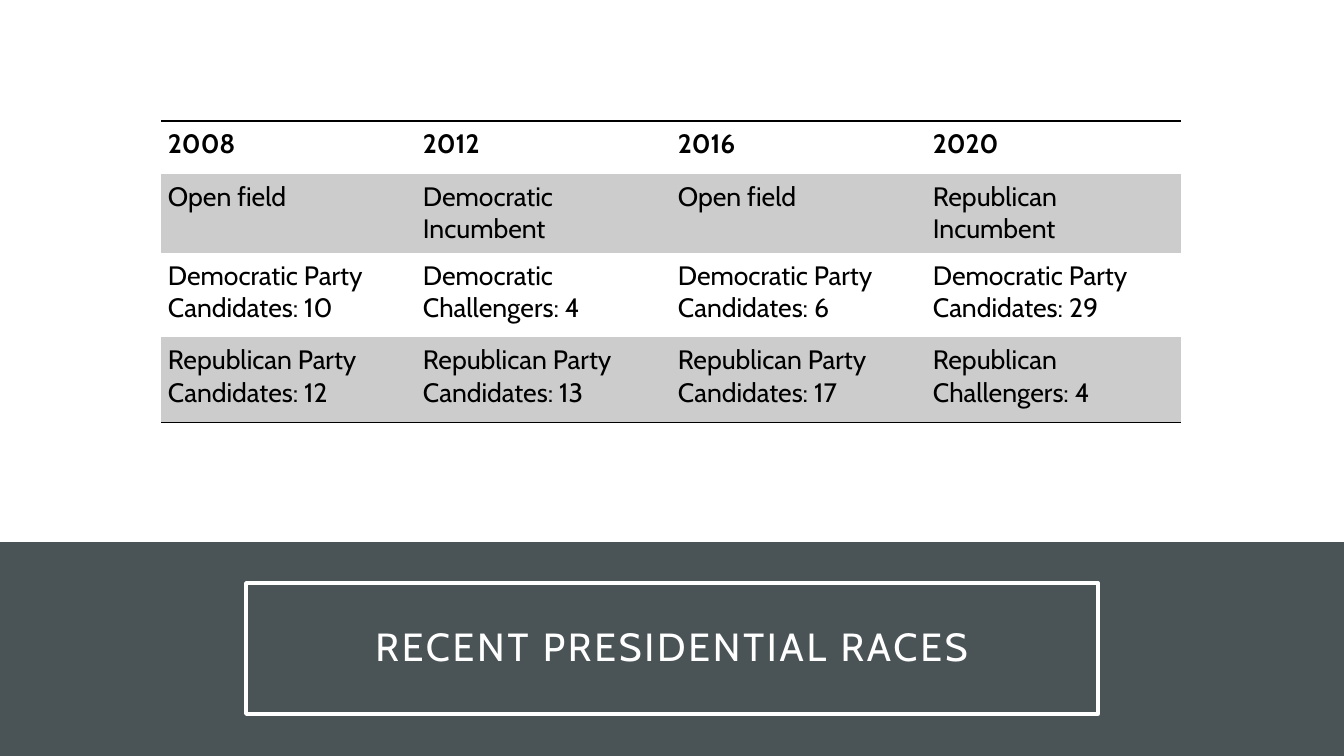
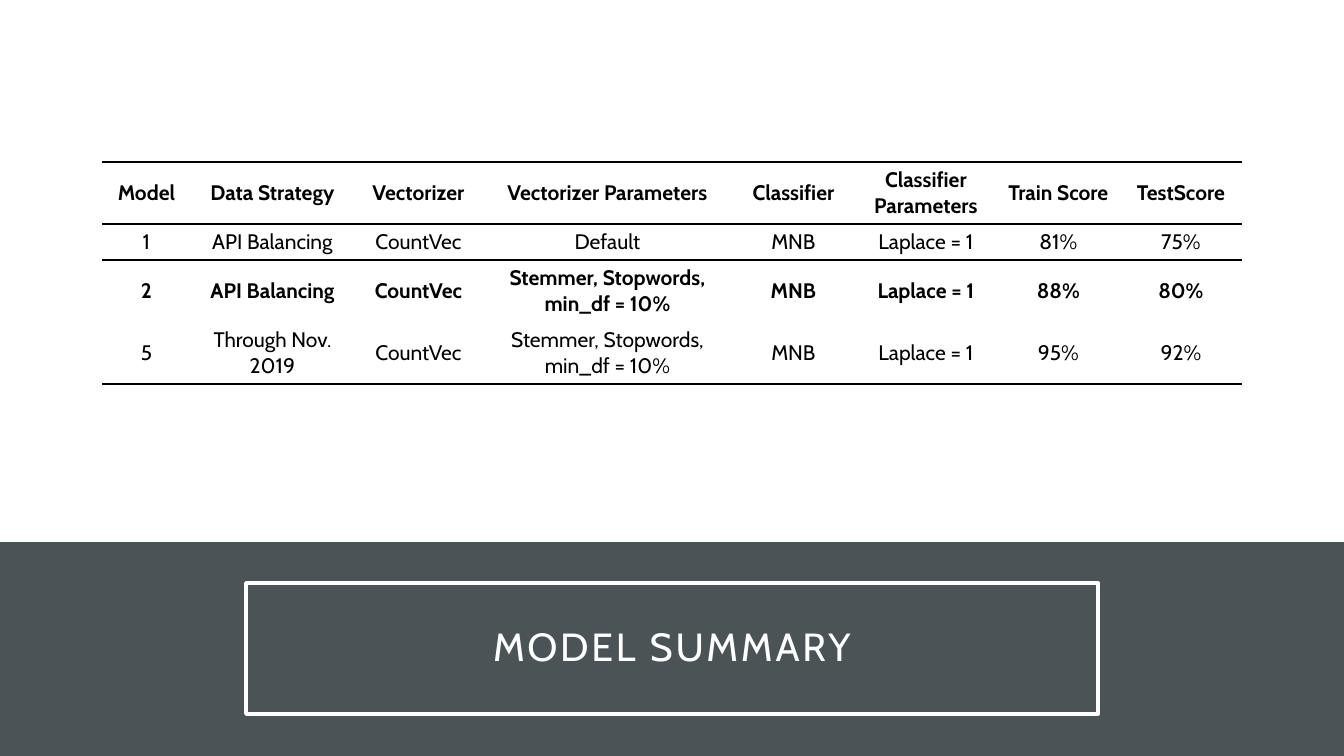
from lxml import etree
from pptx import Presentation
from pptx.dml.color import RGBColor
from pptx.enum.shapes import MSO_SHAPE
from pptx.enum.text import MSO_ANCHOR, MSO_AUTO_SIZE, PP_ALIGN
from pptx.oxml.ns import qn
from pptx.util import Pt

PX = 914400 / 100.8
FONT = "Cabin"
SLATE = RGBColor(0x4A, 0x53, 0x56)
WHITE = RGBColor(0xFF, 0xFF, 0xFF)
BLACK = RGBColor(0x00, 0x00, 0x00)
BAND_GREY = RGBColor(0xCC, 0xCC, 0xCC)
RECTANGLE = MSO_SHAPE.RECTANGLE
TOP, MIDDLE = MSO_ANCHOR.TOP, MSO_ANCHOR.MIDDLE
LEFT, CENTER = PP_ALIGN.LEFT, PP_ALIGN.CENTER
NO_AUTOFIT = MSO_AUTO_SIZE.NONE
PLAIN_TABLE_STYLE = "{2D5ABB26-0587-4C30-8999-92F81FD0307C}"


def px(*lengths):
    return [round(length * PX) for length in lengths]


def add_rule(cell, edge):
    rule = etree.SubElement(cell._tc.get_or_add_tcPr(), qn(f"a:{edge}"), w=str(Pt(1)))
    fill = etree.SubElement(rule, qn("a:solidFill"))
    etree.SubElement(fill, qn("a:srgbClr"), val=str(BLACK))


races = {
    "title": "RECENT PRESIDENTIAL RACES",
    "origin": (161, 121),
    "columns": [255] * 4,
    "rows": [53, 78, 85, 85],
    "cells": [
        ["2008", "2012", "2016", "2020"],
        ["Open field", "Democratic Incumbent", "Open field", "Republican Incumbent"],
        ["Democratic Party Candidates: 10", "Democratic Challengers: 4",
         "Democratic Party Candidates: 6", "Democratic Party Candidates: 29"],
        ["Republican Party Candidates: 12", "Republican Party Candidates: 13",
         "Republican Party Candidates: 17", "Republican Challengers: 4"],
    ],
    "size": 19, "margin": 7, "align": LEFT, "anchor": TOP,
    "bold_rows": {0}, "grey_rows": {1, 3}, "ruled_rows": {3},
}
models = {
    "title": "MODEL SUMMARY",
    "origin": (102, 162),
    "columns": [89, 163, 129, 249, 123, 142, 123, 122],
    "rows": [62, 36, 62, 62],
    "cells": [
        ["Model", "Data Strategy", "Vectorizer", "Vectorizer Parameters",
         "Classifier", "Classifier Parameters", "Train Score", "TestScore"],
        ["1", "API Balancing", "CountVec", "Default",
         "MNB", "Laplace = 1", "81%", "75%"],
        ["2", "API Balancing", "CountVec", "Stemmer, Stopwords, min_df = 10%",
         "MNB", "Laplace = 1", "88%", "80%"],
        ["5", "Through Nov. 2019", "CountVec", "Stemmer, Stopwords, min_df = 10%",
         "MNB", "Laplace = 1", "95%", "92%"],
    ],
    "size": 15, "margin": 4, "align": CENTER, "anchor": MIDDLE,
    "bold_rows": {0, 2}, "grey_rows": set(), "ruled_rows": {0, 3},
}

prs = Presentation()
prs.slide_width, prs.slide_height = px(1344, 756)
background = prs.slide_master.background.fill
background.solid()
background.fore_color.rgb = SLATE
title_only = prs.slide_layouts[5]

for content in (races, models):
    slide = prs.slides.add_slide(title_only)

    panel = slide.shapes.add_shape(RECTANGLE, *px(0, 0, 1344, 542))
    panel.shadow.inherit = False
    panel.fill.solid()
    panel.fill.fore_color.rgb = WHITE
    panel.line.fill.background()

    title = slide.shapes.title
    title.left, title.top, title.width, title.height = px(246, 583, 852, 131)
    title.line.color.rgb = WHITE
    title.line.width = Pt(2.5)
    frame = title.text_frame
    frame.text = content["title"]
    frame.auto_size = NO_AUTOFIT
    frame.word_wrap = True
    frame.vertical_anchor = MIDDLE
    frame.margin_left, frame.margin_top, frame.margin_right, frame.margin_bottom = px(*[20] * 4)
    heading = frame.paragraphs[0]
    heading.alignment = CENTER
    heading.line_spacing = 0.9
    run = heading.runs[0]
    run.font.name = FONT
    run.font.size = Pt(28)
    run.font.color.rgb = WHITE
    run._r.get_or_add_rPr().set("spc", "200")

    columns, rows = content["columns"], content["rows"]
    table = slide.shapes.add_table(
        len(rows), len(columns), *px(*content["origin"], sum(columns), sum(rows))
    ).table
    table.first_row = False
    table.horz_banding = False
    table._tbl.tblPr.find(qn("a:tableStyleId")).text = PLAIN_TABLE_STYLE
    for column, width in zip(table.columns, px(*columns)):
        column.width = width
    for row, height in zip(table.rows, px(*rows)):
        row.height = height

    for r, texts in enumerate(content["cells"]):
        for c, text in enumerate(texts):
            cell = table.cell(r, c)
            cell.text_frame.text = text
            cell.vertical_anchor = content["anchor"]
            (cell.margin_left, cell.margin_top,
             cell.margin_right, cell.margin_bottom) = px(*[content["margin"]] * 4)
            if r == 0:
                add_rule(cell, "lnT")
            elif r - 1 in content["ruled_rows"]:
                add_rule(cell, "lnT")
            if r in content["ruled_rows"]:
                add_rule(cell, "lnB")
            if r in content["grey_rows"]:
                cell.fill.solid()
                cell.fill.fore_color.rgb = BAND_GREY
            else:
                cell.fill.background()
            paragraph = cell.text_frame.paragraphs[0]
            paragraph.alignment = content["align"]
            font = paragraph.runs[0].font
            font.name = FONT
            font.size = Pt(content["size"])
            font.bold = r in content["bold_rows"]
            font.color.rgb = BLACK

prs.save("out.pptx")
